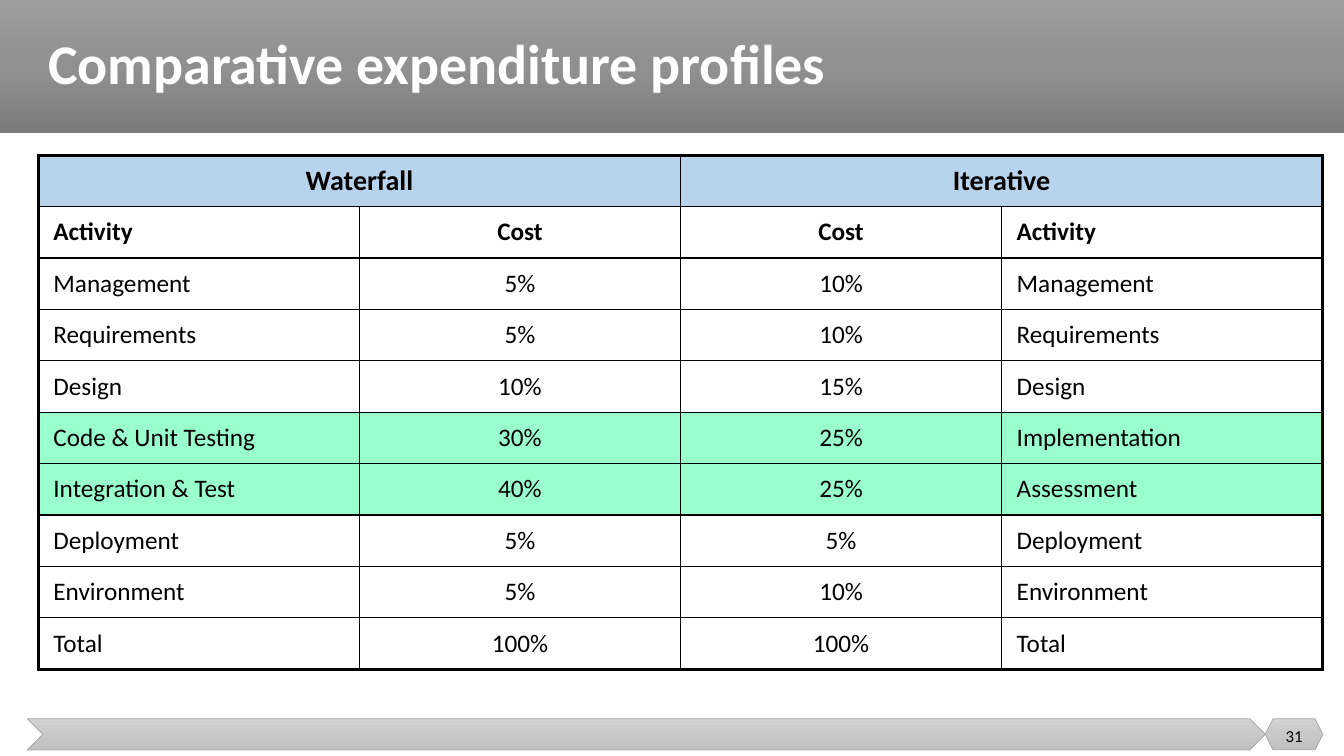
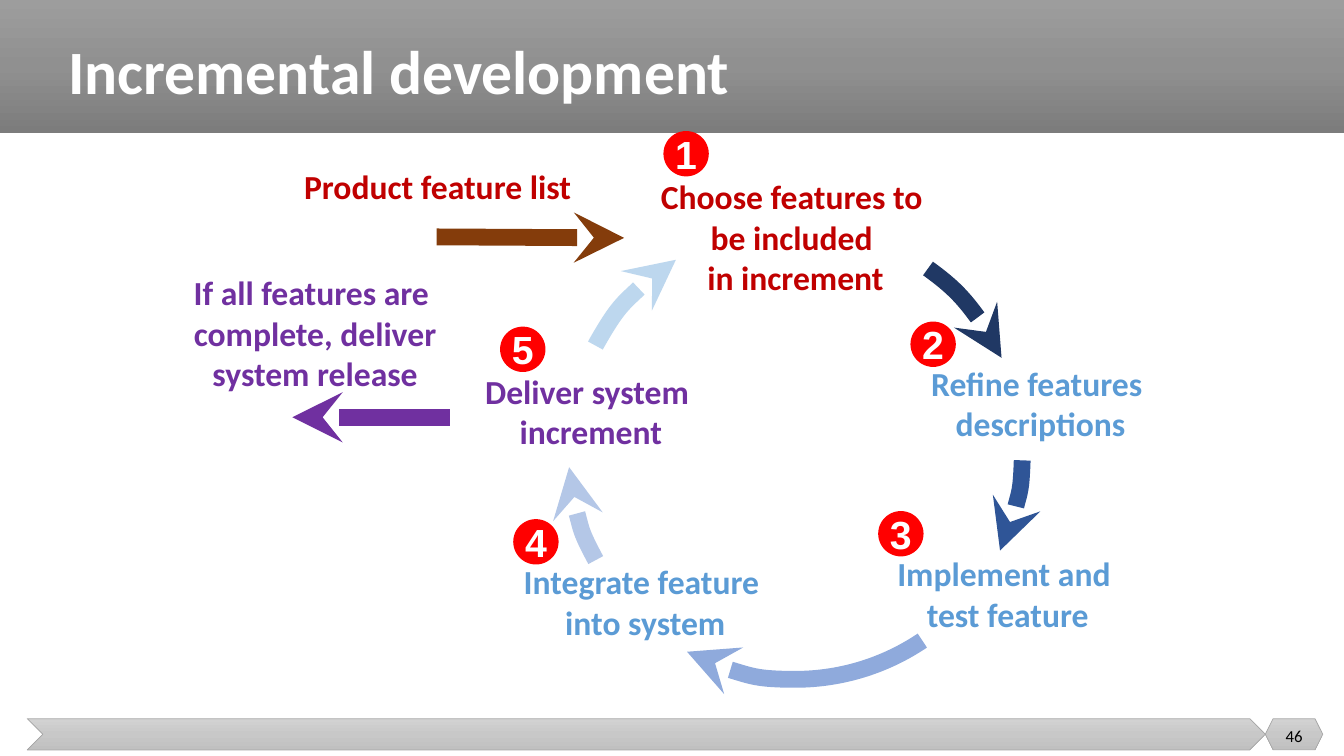
from copy import deepcopy

from lxml import etree
from pptx import Presentation
from pptx.dml.color import RGBColor
from pptx.enum import shapes, text
from pptx.oxml import ns
from pptx.util import Inches, Pt

# Shared style
WIDTH, HEIGHT = 13.33, 7.5
BAND_HEIGHT = 1.32
FONT = "Calibri"
COLORS = {
    "white": "FFFFFF", "black": "000000", "grey": "A5A5A5",
    "header": "B8D4ED", "mint": "99FFCC", "badge": "FF0000",
    "red": "C00000", "blue": "5B9BD5", "purple": "7030A0", "brown": "843C0B",
    "navy": "203864", "royal": "2F5597", "periwinkle": "8FAADC",
    "lavender": "B4C7E7", "sky": "BDD7EE",
}
BAND_GRADIENT = ("9D9D9D", "909090", "7C7C7C")
FOOTER_GRADIENT = ("D2D2D2", "C8C8C8", "C0C0C0")
KINDS = shapes.MSO_SHAPE
CENTER, LEFT = text.PP_ALIGN.CENTER, text.PP_ALIGN.LEFT
MIDDLE, TOP = text.MSO_ANCHOR.MIDDLE, text.MSO_ANCHOR.TOP

# Expenditure table
TABLE_BOX = (0.38, 1.54, 12.74, 5.1)
GROUPS = ("Waterfall", "Iterative")
COST_ROWS = [
    ("Activity", "Cost", "Cost", "Activity"),
    ("Management", "5%", "10%", "Management"),
    ("Requirements", "5%", "10%", "Requirements"),
    ("Design", "10%", "15%", "Design"),
    ("Code & Unit Testing", "30%", "25%", "Implementation"),
    ("Integration & Test", "40%", "25%", "Assessment"),
    ("Deployment", "5%", "5%", "Deployment"),
    ("Environment", "5%", "10%", "Environment"),
    ("Total", "100%", "100%", "Total"),
]
HIGHLIGHTED = ("Code & Unit Testing", "Integration & Test")

# Incremental cycle: arc angles in degrees, clockwise from the right
CYCLE_BOX = (5.64, 2.24, 4.5, 4.5)
CYCLE_ARCS = [
    (208.15, 238.2, "sky"),
    (305.75, 335.3, "navy"),
    (1.97, 25.6, "royal"),
    (151.7, 176.3, "lavender"),
    (56, 118.55, "periwinkle"),
]
STRAIGHT_ARROWS = [
    ((4.33, 2.35), (6.19, 2.36), "brown"),
    ((4.46, 4.14), (2.9, 4.14), "purple"),
]
LABELS = [
    ("Product feature list", (2.9, 1.6, 2.88, 0.5), "red", False),
    ("Choose features to \vbe included \vin increment", (6.44, 1.7, 2.9, 1.31), "red", False),
    ("Refine features \vdescriptions", (9.12, 3.55, 2.4, 0.91), "blue", False),
    ("Implement and \vtest feature", (8.79, 5.44, 2.41, 0.91), "blue", False),
    ("Integrate feature \vinto system", (5.08, 5.52, 2.64, 0.91), "blue", False),
    ("Deliver system \vincrement", (4.7, 3.63, 2.32, 0.91), "purple", False),
    ("If all features are \vcomplete, deliver system release",
     (1.64, 2.65, 2.97, 1.31), "purple", True),
]
BADGE_SIZE = 0.45
BADGES = [(6.58, 1.3), (9.03, 3.19), (8.71, 5.07), (5.09, 5.15), (4.96, 3.24)]


def rgb(name):
    return RGBColor.from_string(COLORS[name])


def inches(values):
    return [Inches(value) for value in values]


def write(frame, words, size, color, bold=False, align=LEFT, font=FONT):
    frame.text = words
    for paragraph in frame.paragraphs:
        paragraph.alignment = align
        for run in paragraph.runs:
            run.font.name, run.font.size, run.font.bold = font, Pt(size), bold
            run.font.color.rgb = rgb(color)


def add_text(slide, words, box, size, color, bold=False, align=CENTER,
             anchor=TOP, wrap=True):
    frame = slide.shapes.add_textbox(*inches(box)).text_frame
    frame.word_wrap, frame.vertical_anchor = wrap, anchor
    write(frame, words, size, color, bold, align)
    return frame


def add_shape(slide, kind, box):
    shape = slide.shapes.add_shape(kind, *inches(box))
    shape.shadow.inherit = False
    shape.line.fill.background()
    return shape


def fill_gradient(shape, colors):
    shape.fill.gradient()
    shape.fill.gradient_angle = 270
    stop_list = shape._element.spPr.find(".//" + ns.qn("a:gsLst"))
    stop_list.insert(1, deepcopy(stop_list[0]))
    for index, (stop, color) in enumerate(zip(shape.fill.gradient_stops, colors)):
        stop.position = index / (len(colors) - 1)
        stop.color.rgb = RGBColor.from_string(color)


def style_arrow(shape, color):
    shape.line.color.rgb = rgb(color)
    shape.line.width = Pt(12)
    etree.SubElement(shape.line._ln, ns.qn("a:tailEnd"), type="stealth")


def add_slide(presentation, title, title_box, title_size, number):
    slide = presentation.slides.add_slide(presentation.slide_layouts[6])
    band = add_shape(slide, KINDS.RECTANGLE, (0, 0, WIDTH, BAND_HEIGHT))
    fill_gradient(band, BAND_GRADIENT)
    for kind, left, width in ((KINDS.CHEVRON, 0.27, 12.28), (KINDS.HEXAGON, 12.55, 0.57)):
        footer = add_shape(slide, kind, (left, 7.13, width, 0.31))
        fill_gradient(footer, FOOTER_GRADIENT)
        footer.line.color.rgb = rgb("grey")
        footer.line.width = Pt(0.5)
    frame = add_text(slide, title, title_box, title_size, "white", True, LEFT, MIDDLE)
    frame.paragraphs[0].line_spacing = 0.9
    add_text(slide, number, (12.55, 7.1, 0.57, 0.4), 12, "black", anchor=MIDDLE)
    return slide


def add_borders(cell, outer_sides):
    properties = cell._tc.get_or_add_tcPr()
    for side in "LRTB":
        width = Pt(2.25 if side in outer_sides else 1)
        line = etree.SubElement(properties, ns.qn("a:ln" + side), w=str(width))
        fill = etree.SubElement(line, ns.qn("a:solidFill"))
        etree.SubElement(fill, ns.qn("a:srgbClr"), val=COLORS["black"])


def build_expenditure(presentation):
    slide = add_slide(presentation, "Comparative expenditure profiles",
                      (0.38, 0, 12.74, BAND_HEIGHT), 40, "31")
    rows = [(GROUPS[0], "", GROUPS[1], "")] + COST_ROWS
    last_row, last_column = len(rows) - 1, len(rows[0]) - 1
    table = slide.shapes.add_table(len(rows), len(rows[0]), *inches(TABLE_BOX)).table
    for first in (0, 2):
        table.cell(0, first).merge(table.cell(0, first + 1))
    for row, values in enumerate(rows):
        for column, words in enumerate(values):
            cell = table.cell(row, column)
            end_column = column + (cell.span_width if cell.is_merge_origin else 1) - 1
            edges = {"L": column == 0, "R": end_column == last_column,
                     "T": row == 0, "B": row == last_row}
            add_borders(cell, [side for side, outer in edges.items() if outer])
            color = "header" if row == 0 else "mint" if values[0] in HIGHLIGHTED else "white"
            cell.fill.solid()
            cell.fill.fore_color.rgb = rgb(color)
            cell.vertical_anchor = MIDDLE
            cell.margin_left = cell.margin_right = Inches(0.15)
            cell.margin_top = cell.margin_bottom = Inches(0.05)
            if words:
                centered = row == 0 or column in (1, 2)
                write(cell.text_frame, words, 20 if row == 0 else 18, "black",
                      row < 2, CENTER if centered else LEFT)


def build_cycle(presentation):
    slide = add_slide(presentation, "Incremental development",
                      (0.58, 0.13, 9, 1.21), 44, "46")
    # Arrows; an arc adjustment of 0.6 equals one degree
    for start, end, color in CYCLE_ARCS:
        arc = add_shape(slide, KINDS.ARC, CYCLE_BOX)
        arc.adjustments[0], arc.adjustments[1] = start * 0.6, end * 0.6
        arc.fill.background()
        style_arrow(arc, color)
    for start, end, color in STRAIGHT_ARROWS:
        arrow = slide.shapes.add_connector(shapes.MSO_CONNECTOR.STRAIGHT,
                                           *inches(start + end))
        style_arrow(arrow, color)
        etree.SubElement(arrow._element.spPr, ns.qn("a:effectLst"))
    # Step labels and numbered badges
    for words, box, color, wrap in LABELS:
        add_text(slide, words, box, 24, color, True, wrap=wrap)
    for number, corner in enumerate(BADGES, 1):
        badge = add_shape(slide, KINDS.OVAL, corner + (BADGE_SIZE, BADGE_SIZE))
        badge.fill.solid()
        badge.fill.fore_color.rgb = rgb("badge")
        frame = badge.text_frame
        frame.margin_left = frame.margin_right = frame.margin_top = frame.margin_bottom = 0
        frame.vertical_anchor, frame.word_wrap = MIDDLE, False
        write(frame, str(number), 28, "white", True, CENTER, "Arial")


def main():
    presentation = Presentation()
    presentation.slide_width, presentation.slide_height = inches((WIDTH, HEIGHT))
    build_expenditure(presentation)
    build_cycle(presentation)
    presentation.save("out.pptx")


if __name__ == "__main__":
    main()
